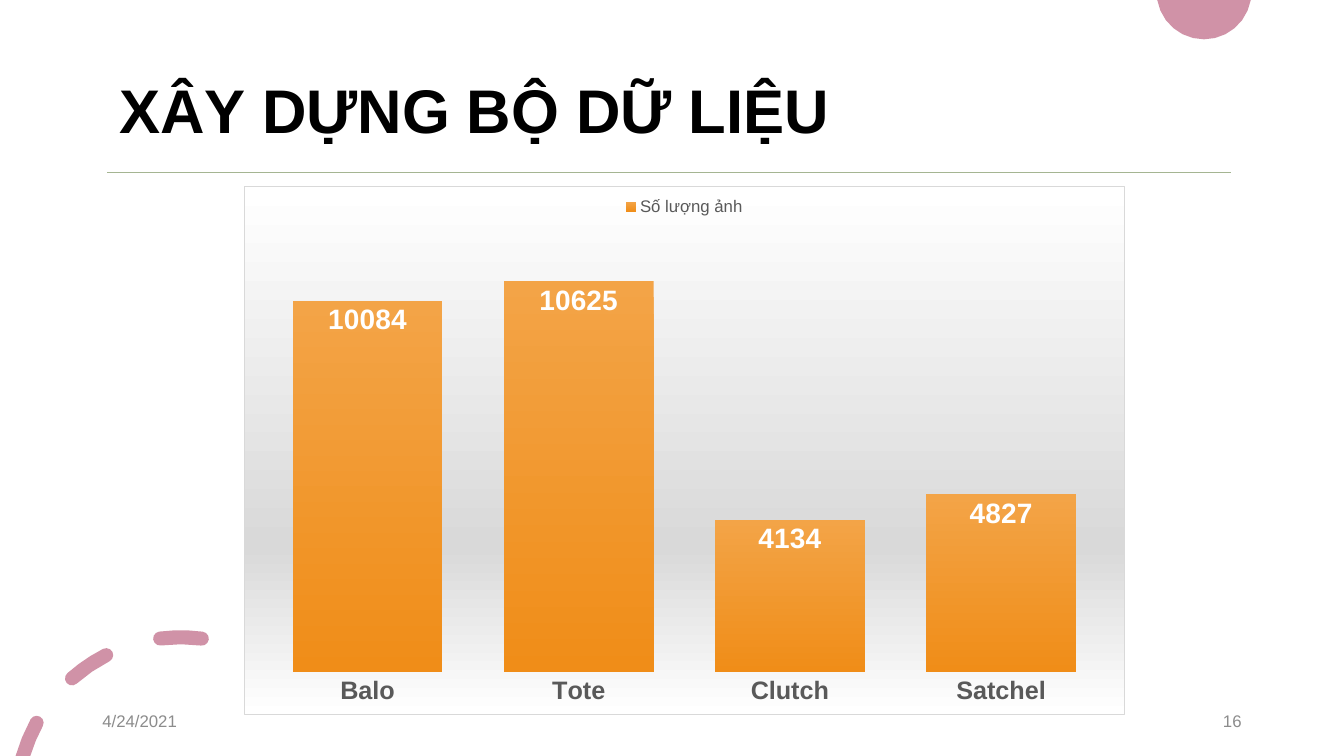
import math
import pptx
import pptx.chart.data
import pptx.dml.color
import pptx.enum.chart
import pptx.enum.shapes
import pptx.enum.text
import pptx.oxml
import pptx.util

Pt = pptx.util.Pt
ROSE = "D092A7"
GRAY = "595959"
NS = 'xmlns:a="http://schemas.openxmlformats.org/drawingml/2006/main"'


def rgb(code):
    return pptx.dml.color.RGBColor.from_string(code)


def style(font, size, color, bold=False):
    font.name, font.size, font.bold = "Arial", Pt(size), bold
    font.color.rgb = rgb(color)


deck = pptx.Presentation()
deck.slide_width, deck.slide_height = Pt(960), Pt(540)
slide = deck.slides.add_slide(deck.slide_layouts[6])
shapes = slide.shapes

# Rose marks: each outline is a chain of arcs, given as centre, radius,
# start and end in degrees clockwise from the top
disc = [(860, -5.8, 33.9, 99.85, 260.15)]
dashes = []
mid_x, mid_y, ring, half = 129.1, 572.4, 117.2, 5
for start, end in [(-74.9, -61.4), (-41.5, -27), (-7.2, 7.4)]:
    caps = []
    for turn in (start, end):
        rad = math.radians(turn)
        caps.append((mid_x + ring * math.sin(rad), mid_y - ring * math.cos(rad)))
    cut = start < -70  # this dash ends flat on the slide's bottom edge
    dash = [
        (mid_x, mid_y, ring + half, start, end),
        (*caps[1], half, end, end + 180),
        (mid_x, mid_y, ring - half, end, -73.2 if cut else start),
    ]
    if not cut:
        dash.append((*caps[0], half, start + 180, start + 360))
    dashes.append(dash)

for outlines in ([disc], dashes):
    pen = None
    for arcs in outlines:
        points = []
        for x, y, radius, start, end in arcs:
            steps = math.ceil(math.sqrt(radius) * abs(end - start) / 80)
            for step in range(steps + 1):
                rad = math.radians(start + (end - start) * step / steps)
                point = (round(100 * (x + radius * math.sin(rad))),
                         min(54000, round(100 * (y - radius * math.cos(rad)))))
                if point not in points:
                    points.append(point)
        if pen is None:
            pen = shapes.build_freeform(*points[0], scale=Pt(1) / 100)
        else:
            pen.move_to(*points[0])
        pen.add_line_segments(points[1:], close=True)
    mark = pen.convert_to_shape()
    mark.shadow.inherit = False
    mark.fill.solid()
    mark.fill.fore_color.rgb = rgb(ROSE)
    mark.line.fill.background()

# Title, date and page number
ALIGN = pptx.enum.text.PP_ALIGN
for text, box, inset, size, color, bold, align in [
    ("XÂY DỰNG BỘ DỮ LIỆU", (66, 28.8, 828, 104.4), 19.4, 44, "000000", True, ALIGN.LEFT),
    ("4/24/2021", (66, 500.5, 216, 28.75), 7.2, 12, "8C8C8C", False, ALIGN.LEFT),
    ("16", (678, 500.5, 216, 28.75), 7.2, 12, "8C8C8C", False, ALIGN.RIGHT),
]:
    frame = shapes.add_textbox(*map(Pt, box)).text_frame
    frame.word_wrap = True
    frame.margin_left = Pt(inset)
    frame.vertical_anchor = pptx.enum.text.MSO_ANCHOR.MIDDLE
    frame.text = text
    para = frame.paragraphs[0]
    para.alignment = align
    if bold:
        para.line_spacing = 0.9
    style(para.runs[0].font, size, color, bold)

rule = shapes.add_connector(pptx.enum.shapes.MSO_CONNECTOR.STRAIGHT,
                            Pt(76.5), Pt(123), Pt(879), Pt(123))
rule.line.color.rgb = rgb("A5B592")
rule.line.width = Pt(0.5)
rule._element.spPr.append(pptx.oxml.parse_xml(f"<a:effectLst {NS}/>"))

# Column chart of image counts
data = pptx.chart.data.CategoryChartData()
data.categories = ["Balo", "Tote", "Clutch", "Satchel"]
data.add_series("Số lượng ảnh", [10084, 10625, 4134, 4827])
XL = pptx.enum.chart
chart = shapes.add_chart(XL.XL_CHART_TYPE.COLUMN_CLUSTERED, Pt(174.2), Pt(133),
                         Pt(629.25), Pt(378), data).chart
style(chart.font, 10, "000000")
chart.has_title = False
chart.has_legend = True
chart.legend.position = XL.XL_LEGEND_POSITION.TOP
chart.legend.include_in_layout = False
style(chart.legend.font, 12, GRAY)

cats = chart.category_axis
cats.major_tick_mark = XL.XL_TICK_MARK.NONE
cats.format.line.fill.background()
style(cats.tick_labels.font, 18, GRAY, True)
scale = chart.value_axis
scale.minimum_scale, scale.maximum_scale = 0, 12000
scale.has_major_gridlines = False
scale.visible = False

plot = chart.plots[0]
plot.gap_width = 41
plot.vary_by_categories = False
bars = plot.series[0]
labels = bars.data_labels
labels.show_value = True
labels.position = XL.XL_LABEL_POSITION.INSIDE_END
style(labels.font, 20, "FFFFFF", True)

bars.format.fill.gradient()
bars.format.fill.gradient_angle = 270
for stop, color in zip(bars.format.fill.gradient_stops, ["F3A447", "F08D18"]):
    stop.color.rgb = rgb(color)

# The chart area has no public formatting, so its fill and border are XML
stops = "".join(
    f'<a:gs pos="{pos * 1000}"><a:srgbClr val="{color}"/></a:gs>'
    for pos, color in [(0, "FFFFFF"), (68, "D9D9D9"), (100, "FFFFFF")])
area = pptx.oxml.parse_xml(
    f'<c:spPr xmlns:c="http://schemas.openxmlformats.org/drawingml/2006/chart" {NS}>'
    f'<a:gradFill><a:gsLst>{stops}</a:gsLst><a:lin ang="5400000" scaled="0"/></a:gradFill>'
    f'<a:ln w="{Pt(0.75)}"><a:solidFill><a:srgbClr val="D9D9D9"/></a:solidFill></a:ln>'
    '</c:spPr>')
chart._chartSpace.chart.addnext(area)

deck.save("out.pptx")
